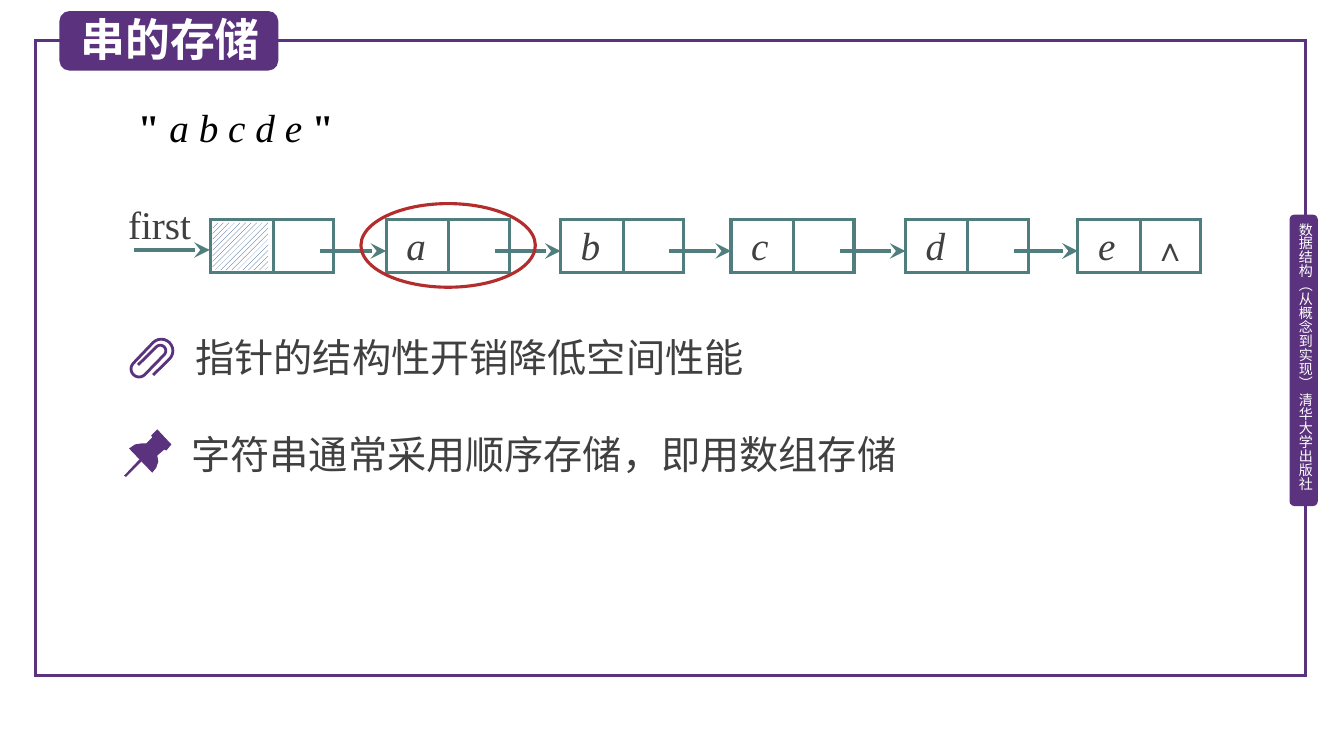
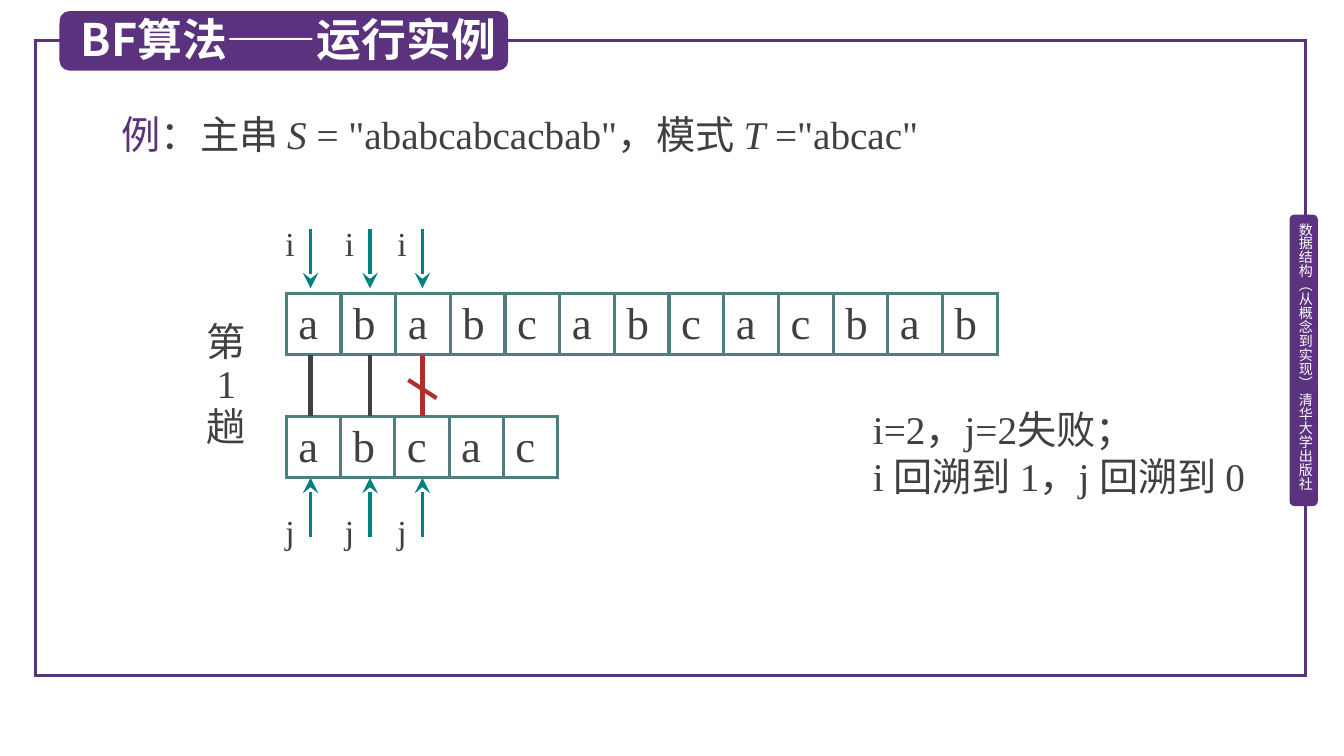
from dataclasses import dataclass
from math import cos, radians, sin

from lxml import etree
from pptx import Presentation
from pptx.dml.color import RGBColor
from pptx.enum.dml import MSO_PATTERN
from pptx.enum.shapes import MSO_CONNECTOR, MSO_SHAPE
from pptx.enum.text import MSO_ANCHOR, PP_ALIGN
from pptx.oxml.ns import qn
from pptx.util import Inches, Pt

RECT, ROUND, OVAL = MSO_SHAPE.RECTANGLE, MSO_SHAPE.ROUNDED_RECTANGLE, MSO_SHAPE.OVAL
STRAIGHT = MSO_CONNECTOR.STRAIGHT
HATCH = MSO_PATTERN.WIDE_UPWARD_DIAGONAL
TOP, MIDDLE = MSO_ANCHOR.TOP, MSO_ANCHOR.MIDDLE
LEFT, CENTER, JUSTIFY = PP_ALIGN.LEFT, PP_ALIGN.CENTER, PP_ALIGN.JUSTIFY


@dataclass(frozen=True)
class Theme:
    purple: str = "5A327D"
    white: str = "FFFFFF"
    black: str = "000000"
    ink: str = "404040"
    slate: str = "507D7D"
    teal: str = "008080"
    red: str = "B42D2D"
    navy: str = "1F497D"
    serif: str = "Times New Roman"
    sans: str = "Noto Sans CJK SC"
    title: int = 32
    cell: int = 32
    body: int = 28
    small: int = 24
    side: int = 10
    thin: float = 2.25
    thick: float = 3


T = Theme()
PAD = (0.1, 0.05, 0.1, 0.05)


def rgb(code):
    return RGBColor.from_string(code)


def inch(values):
    return [Inches(v) for v in values]


def style(run, size, color, font, bold=False, italic=False):
    face = run.font
    face.size, face.bold, face.italic = Pt(size), bold, italic
    face.name = font
    face.color.rgb = rgb(color)
    east = etree.SubElement(run._r.get_or_add_rPr(), qn("a:ea"))
    east.set("typeface", T.sans)


def write(shape, paras, size=T.body, color=T.ink, font=T.serif, align=LEFT,
          anchor=TOP, pad=PAD, space=None, wrap=True, **look):
    """Fill a shape; a paragraph is a string or a list of (text, look) runs."""
    frame = shape.text_frame
    frame.word_wrap, frame.vertical_anchor = wrap, anchor
    (frame.margin_left, frame.margin_top,
     frame.margin_right, frame.margin_bottom) = inch(pad)
    for n, parts in enumerate(paras):
        para = frame.add_paragraph() if n else frame.paragraphs[0]
        para.alignment = align
        if space:
            para.line_spacing = space
        if isinstance(parts, str):
            parts = [(parts, {})]
        for words, extra in parts:
            run = para.add_run()
            run.text = words
            style(run, **{"size": size, "color": color, "font": font, **look, **extra})


def label(slide, box, *paras, **look):
    shape = slide.shapes.add_textbox(*inch(box))
    write(shape, paras, **look)
    return shape


def paint(shape, fill=None, line=None, width=T.thin):
    shape.shadow.inherit = False
    if fill:
        shape.fill.solid()
        shape.fill.fore_color.rgb = rgb(fill)
    else:
        shape.fill.background()
    if line:
        shape.line.color.rgb = rgb(line)
        shape.line.width = Pt(width)
        etree.SubElement(shape.line._get_or_add_ln(), qn("a:miter")).set("lim", "800000")
    else:
        shape.line.fill.background()
    return shape


def block(slide, kind, box, fill=None, line=None):
    return paint(slide.shapes.add_shape(kind, *inch(box)), fill, line)


def link(slide, start, end, color=T.slate, width=T.thin, arrow=False):
    line = slide.shapes.add_connector(STRAIGHT, *inch(start + end))
    line.line.color.rgb = rgb(color)
    line.line.width = Pt(width)
    if arrow:
        tail = etree.SubElement(line.line._get_or_add_ln(), qn("a:tailEnd"))
        for key, value in (("type", "stealth"), ("w", "lg"), ("len", "lg")):
            tail.set(key, value)
    etree.SubElement(line._element.spPr, qn("a:effectLst"))


def outline(slide, points, close):
    first, *rest = [inch(p) for p in points]
    pen = slide.shapes.build_freeform(*first)
    pen.add_line_segments(rest, close=close)
    return pen.convert_to_shape()


def arc(x, y, radius, start, stop, steps=12):
    turns = [radians(start + (stop - start) * n / steps) for n in range(steps + 1)]
    return [(x + radius * cos(a), y + radius * sin(a)) for a in turns]


def clip(slide):
    points = [(1.52, 3.72), *arc(1.6, 3.48, 0.115, 45, -135),
              *arc(1.38, 3.66, 0.08, 225, 45),
              *arc(1.59, 3.48, 0.055, 45, -135), (1.37, 3.62)]
    paint(outline(slide, points, False), line=T.purple, width=2)


def pin(slide):
    head = [(1.7, 4.41), (1.56, 4.26), (1.5, 4.32), (1.51, 4.34), (1.45, 4.4),
            (1.4, 4.4), (1.34, 4.41), (1.28, 4.45), (1.51, 4.69), (1.55, 4.64),
            (1.57, 4.58), (1.56, 4.52), (1.63, 4.46), (1.65, 4.47)]
    needle = [(1.23, 4.72), (1.39, 4.55), (1.41, 4.57), (1.25, 4.73)]
    for points in (head, needle):
        paint(outline(slide, points, True), fill=T.purple)


def page(deck, title, width):
    """Add a slide with the frame, side band and title tab."""
    slide = deck.slides.add_slide(deck.slide_layouts[6])
    block(slide, RECT, (0.35, 0.4, 12.6, 6.3), line=T.purple)
    block(slide, ROUND, (12.79, 2.13, 0.28, 2.89), fill=T.purple)
    side = label(slide, (12.86, 2.21, 0.17, 2.81),
                 "数据结构（从概念到实现） 清华大学出版社",
                 size=T.side, color=T.white, font=T.sans, pad=(0, 0, 0, 0))
    side.text_frame._txBody.bodyPr.set("vert", "eaVert")
    block(slide, ROUND, (0.59, 0.11, width, 0.59), fill=T.purple)
    label(slide, (0.7, 0.07, width + 0.1, 0.64), title, size=T.title,
          color=T.white, font=T.sans, bold=True, wrap=False)
    return slide


def node(slide, x, letter):
    top, high = 2.18, 0.52
    box = block(slide, RECT, (x, top, 1.22, high), line=T.slate)
    link(slide, (x + 0.62, top), (x + 0.62, top + high))
    if letter:
        write(box, [letter], anchor=MIDDLE, pad=(0.2, 0, 0, 0.03), italic=True)


def chain(slide):
    y = 2.49
    lefts = (2.09, 3.83, 5.56, 7.25, 8.98, 10.69)
    for x, letter in zip(lefts, ["", *"abcde"]):
        node(slide, x, letter)
    for x, goal in zip(lefts, lefts[1:]):
        link(slide, (x + 1.08, y), (goal, y), arrow=True)
    hatch = block(slide, RECT, (2.11, 2.21, 0.55, 0.47))
    hatch.fill.patterned()
    hatch.fill.pattern = HATCH
    hatch.fill.fore_color.rgb = rgb(T.navy)
    hatch.fill.back_color.rgb = rgb(T.white)
    label(slide, (11.34, 2.21, 0.57, 0.48), "∧", size=T.small)
    label(slide, (1.27, 1.99, 0.83, 0.49), "first", pad=(0, 0, 0, 0.04), wrap=False)
    link(slide, (1.33, 2.48), (2.08, 2.48), arrow=True)
    block(slide, OVAL, (3.58, 2.02, 1.73, 0.83), line=T.red)


def store(deck):
    slide = page(deck, "串的存储", 2.17)
    bold = {"bold": True}
    label(slide, (1.27, 0.93, 4.29, 0.58),
          [('"', bold), (" a b c d e ", {"italic": True}), ('"', bold)],
          color=T.black, space=1.1)
    chain(slide)
    clip(slide)
    pin(slide)
    for box, words in (((1.84, 3.19, 6.62, 0.76), "指针的结构性开销降低空间性能"),
                       ((1.8, 4.15, 7.25, 0.76), "字符串通常采用顺序存储，即用数组存储")):
        label(slide, box, words, anchor=MIDDLE, space=0.9)


def row(slide, y, width, letters):
    """Draw an array as one box, with tab stops and dividers at equal steps."""
    left, high, step = 2.84, 0.61, width / len(letters)
    box = block(slide, RECT, (left, y, width, high), line=T.slate)
    props = box.text_frame.paragraphs[0]._p.get_or_add_pPr()
    tabs = etree.SubElement(props, qn("a:tabLst"))
    for n in range(1, len(letters)):
        x = left + n * step
        link(slide, (x, y), (x, y + high))
        stop = etree.SubElement(tabs, qn("a:tab"))
        stop.set("pos", str(Inches(n * step)))
        stop.set("algn", "l")
    write(box, ["\t".join(letters)], size=T.cell, anchor=MIDDLE,
          pad=(0.12, 0, 0.02, 0.05))


def match(slide, x, color):
    """Mark one compared pair with its two index arrows."""
    link(slide, (x, 3.52), (x, 4.13), color, T.thick)
    link(slide, (x, 2.27), (x, 2.86), T.teal, arrow=True)
    link(slide, (x, 5.33), (x, 4.74), T.teal, arrow=True)
    for name, y in (("i", 2.16), ("j", 5.02)):
        label(slide, (x - 0.25, y, 0.25, 0.5), name, size=T.small,
              pad=(0, 0.05, 0, 0.05))


def trace(deck):
    slide = page(deck, "BF算法——运行实例", 4.45)
    slant = {"italic": True}
    label(slide, (1.11, 1.05, 8.92, 0.57),
          [("例", {"color": T.purple}), ("：主串 ", {}), ("S", slant),
           (' = "ababcabcacbab"，模式 ', {}), ("T", slant), (' ="abcac"', {})],
          align=JUSTIFY)
    row(slide, 2.91, 7.05, "ababcabcacbab")
    row(slide, 4.13, 2.69, "abcac")
    for x, color in ((3.08, T.ink), (3.67, T.ink), (4.19, T.red)):
        match(slide, x, color)
    link(slide, (4.05, 3.77), (4.33, 3.95), T.red, T.thick)
    label(slide, (1.89, 3.15, 0.71, 1.36), "第", "1", "趟", align=CENTER, space=0.9)
    label(slide, (8.56, 3.97, 4, 1.04), "i=2，j=2失败；", "i 回溯到 1，j 回溯到 0",
          align=JUSTIFY)


def main():
    deck = Presentation()
    deck.slide_width, deck.slide_height = inch((13.33, 7.5))
    store(deck)
    trace(deck)
    deck.save("out.pptx")


if __name__ == "__main__":
    main()
